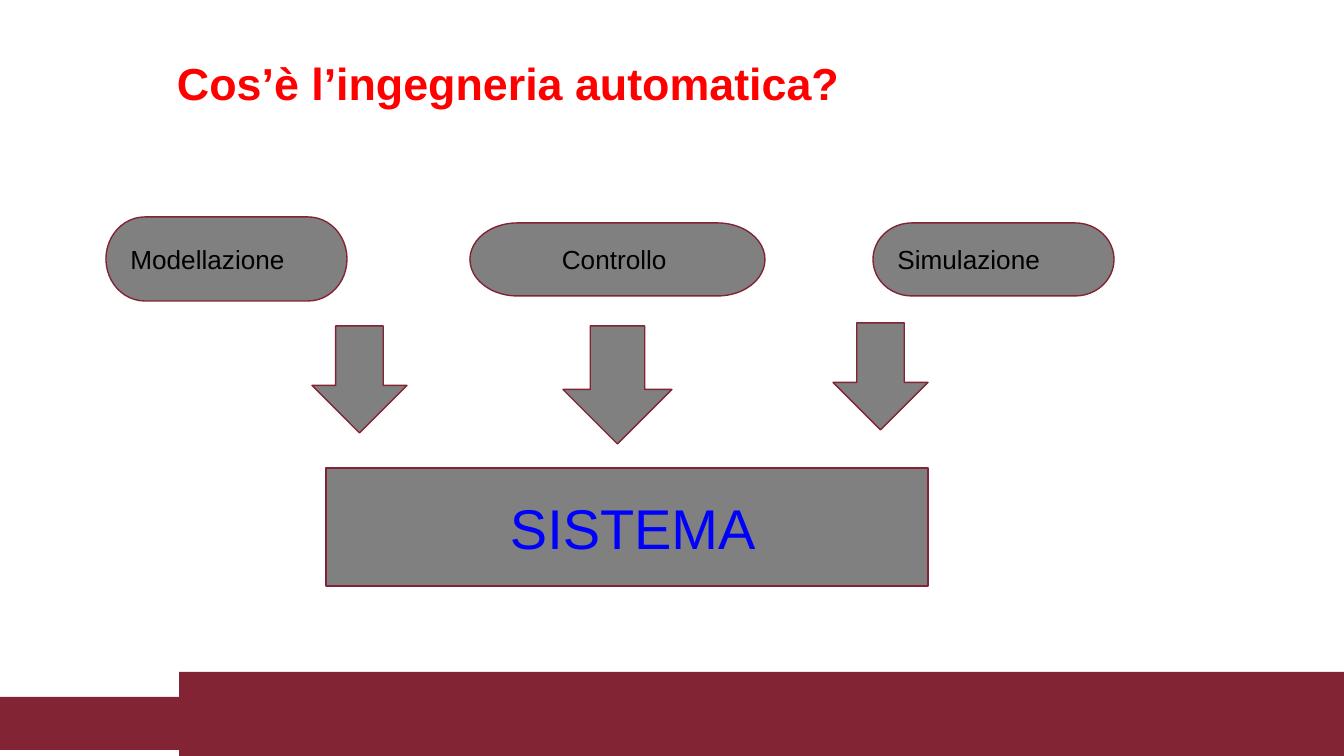
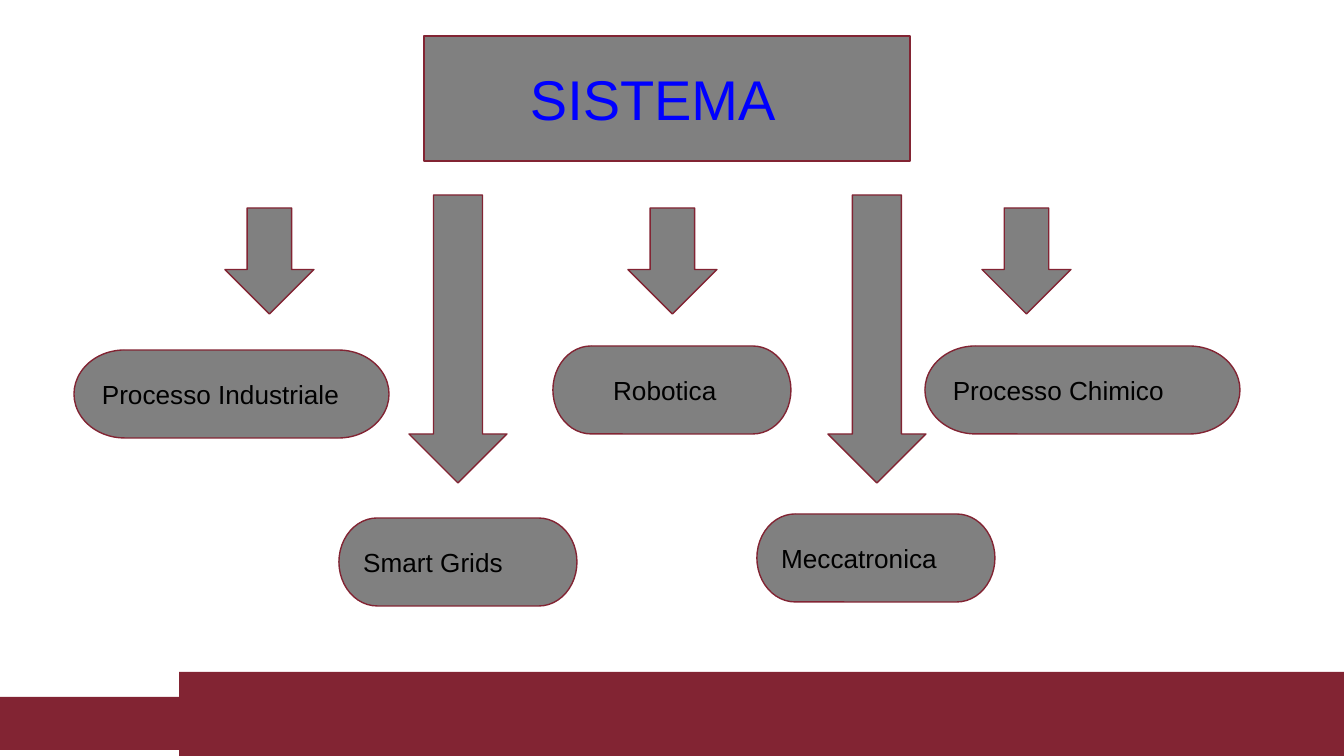
from dataclasses import dataclass

from pptx import Presentation
from pptx import util as u
from pptx.dml.color import RGBColor
from pptx.enum import shapes, text

# Scale and theme
PX = 914400 / 134.4
WIDTH, HEIGHT = 1344, 756
FONT = "Arial"
WINE = RGBColor(0x82, 0x24, 0x33)
GREY = RGBColor(0x80, 0x80, 0x80)
RED = RGBColor(0xFF, 0x00, 0x00)
BLUE = RGBColor(0x00, 0x00, 0xFF)
BLACK = RGBColor(0x00, 0x00, 0x00)
INSET = 13

KIND = shapes.MSO_SHAPE


@dataclass(frozen=True)
class Box:
    x: int
    y: int
    w: int
    h: int

    def emu(self) -> tuple[int, ...]:
        return tuple(px(v) for v in (self.x, self.y, self.w, self.h))


@dataclass(frozen=True)
class Label:
    words: str
    box: Box
    indent: int = 0


FOOTER_BANDS = (Box(0, 697, 1331, 53), Box(179, 672, 1189, 105))

# Slide 1: three disciplines lead into the system
TITLE = Label("Cos’è l’ingegneria automatica?", Box(164, 46, 1111, 55))
DISCIPLINES = (
    Label("Modellazione", Box(106, 217, 241, 84)),
    Label("Controllo", Box(470, 223, 295, 73), 65),
    Label("Simulazione", Box(873, 223, 241, 73)),
)
ARROWS_IN = (Box(312, 326, 95, 107), Box(563, 326, 109, 118), Box(833, 323, 95, 107))
SYSTEM_BELOW = Label("SISTEMA", Box(326, 468, 602, 118), 171)

# Slide 2: the system leads out to five applications
SYSTEM_ABOVE = Label("SISTEMA", Box(424, 36, 486, 125), 93)
ARROWS_OUT = (
    *(Box(x, 208, 89, 106) for x in (225, 628, 982)),
    *(Box(x, 195, 98, 288) for x in (409, 828)),
)
APPLICATIONS = (
    Label("Processo Industriale", Box(74, 350, 315, 88)),
    Label("Smart Grids", Box(339, 518, 238, 88)),
    Label("Meccatronica", Box(757, 514, 238, 88)),
    Label("Processo Chimico", Box(925, 346, 315, 88)),
    Label("Robotica", Box(553, 346, 238, 88), 36),
)


def px(value: float) -> int:
    return round(value * PX)


def add_block(s, kind, box: Box, fill: RGBColor = GREY, outlined: bool = True):
    sp = s.shapes.add_shape(kind, *box.emu())
    sp.shadow.inherit = False
    sp.fill.solid()
    sp.fill.fore_color.rgb = fill
    if outlined:
        sp.line.color.rgb = WINE
        sp.line.width = u.Pt(0.75)
    else:
        sp.line.fill.background()
    return sp


def write(sp, label: Label, size: int, color: RGBColor, bold: bool = False,
          top: int = INSET, anchor=text.MSO_ANCHOR.MIDDLE) -> None:
    tf = sp.text_frame
    tf.word_wrap = True
    tf.vertical_anchor = anchor
    tf.margin_left = px(INSET + label.indent)
    tf.margin_right = px(INSET)
    tf.margin_top = tf.margin_bottom = px(top)
    p = tf.paragraphs[0]
    p.alignment = text.PP_ALIGN.LEFT
    r = p.add_run()
    r.text = label.words
    r.font.name = FONT
    r.font.size = u.Pt(size)
    r.font.bold = bold
    r.font.color.rgb = color


def add_title(s, label: Label) -> None:
    sp = s.shapes.add_textbox(*label.box.emu())
    write(sp, label, 24, RED, bold=True, top=10, anchor=text.MSO_ANCHOR.TOP)


def add_system(s, label: Label) -> None:
    write(add_block(s, KIND.RECTANGLE, label.box), label, 30, BLUE)


def add_topics(s, labels: tuple[Label, ...]) -> None:
    for label in labels:
        sp = add_block(s, KIND.FLOWCHART_TERMINATOR, label.box)
        write(sp, label, 14, BLACK)


def add_arrows(s, boxes: tuple[Box, ...]) -> None:
    for box in boxes:
        add_block(s, KIND.DOWN_ARROW, box)


def add_slide(prs):
    s = prs.slides.add_slide(prs.slide_layouts[6])
    for band in FOOTER_BANDS:
        add_block(s, KIND.RECTANGLE, band, WINE, outlined=False)
    return s


def main() -> None:
    prs = Presentation()
    prs.slide_width, prs.slide_height = px(WIDTH), px(HEIGHT)

    s = add_slide(prs)
    add_title(s, TITLE)
    add_topics(s, DISCIPLINES)
    add_arrows(s, ARROWS_IN)
    add_system(s, SYSTEM_BELOW)

    s = add_slide(prs)
    add_system(s, SYSTEM_ABOVE)
    add_arrows(s, ARROWS_OUT)
    add_topics(s, APPLICATIONS)

    prs.save("out.pptx")


if __name__ == "__main__":
    main()
